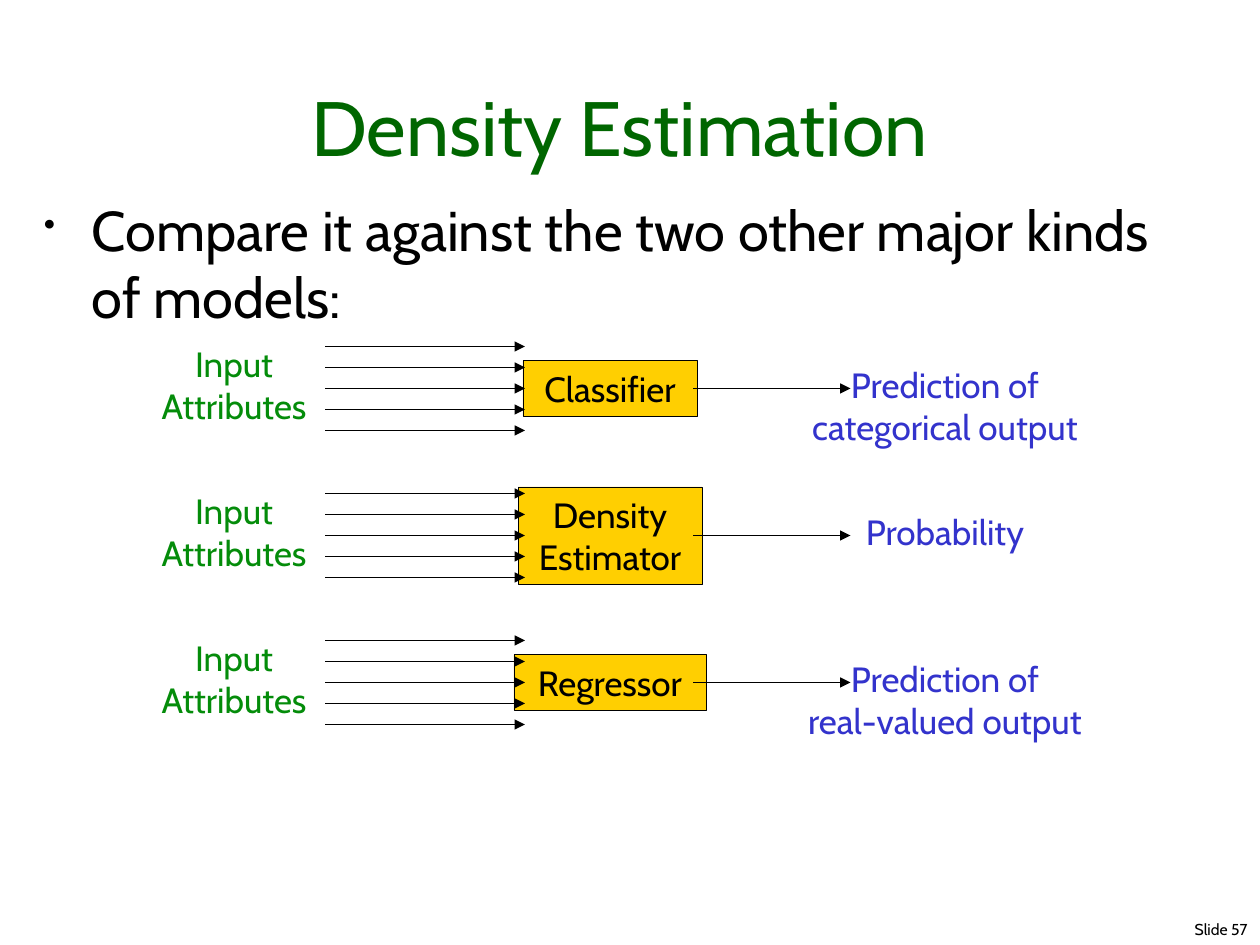
"""Build the density estimation slide on a grid of 120 columns and 90 rows."""
from lxml.etree import SubElement
from pptx import Presentation
from pptx.dml.color import RGBColor
from pptx.enum.shapes import MSO_CONNECTOR, MSO_SHAPE
from pptx.enum.text import MSO_ANCHOR, PP_ALIGN
from pptx.oxml.ns import qn
from pptx.util import Inches, Pt

deck = Presentation()
deck.slide_width, deck.slide_height = Inches(10), Inches(7.5)
slide = deck.slides.add_slide(deck.slide_layouts[6])
unit = deck.slide_width / 120
hue = RGBColor.from_string


def write(shape, text, size, color, align=PP_ALIGN.CENTER, anchor=MSO_ANCHOR.TOP, wrap=False):
    frame = shape.text_frame
    frame.text = text
    frame.word_wrap = wrap
    frame.vertical_anchor = anchor
    for line in frame.paragraphs:
        line.alignment = align
        for run in line.runs:
            run.font.size = Pt(size)
            run.font.name = "Cabin"
            run.font.color.rgb = hue(color)


def place(group, kind, mid, top, wide, high):
    left = mid - wide / 2
    spot = [int(n * unit) for n in (left, top, wide, high)]
    if kind is None:
        return group.shapes.add_textbox(*spot)
    return group.shapes.add_shape(kind, *spot)


foot = place(slide, None, 96.5, 87, 47, 3.2)
write(foot, "Slide 57", 9, "000000", PP_ALIGN.RIGHT, wrap=True)

title = place(slide, None, 59, 3, 112, 14)
write(title, "Density Estimation", 44, "006600", anchor=MSO_ANCHOR.BOTTOM, wrap=True)

body = place(slide, None, 59.25, 18, 112.5, 15)
write(body, "Compare it against the two other major kinds of models:", 32, "000000",
      PP_ALIGN.LEFT, wrap=True)
props = body.text_frame.paragraphs[0]._p.get_or_add_pPr()
props.set("marL", str(Inches(0.38)))
props.set("indent", str(-Inches(0.38)))
tint = SubElement(props, qn("a:buClr"))
SubElement(tint, qn("a:srgbClr"), val="000000")
SubElement(props, qn("a:buSzPct"), val="60000")
SubElement(props, qn("a:buChar"), char="•")

tall = {1: 5.3, 2: 9.25}
models = [
    ("Regressor", 18.3, "Prediction of\nreal-valued output", 31.3),
    ("Density\nEstimator", 17.5, "Probability", 19.3),
    ("Classifier", 16.6, "Prediction of\ncategorical output", 31.1),
]
for step, (name, wide, result, span) in enumerate(models):
    axis = 65 - 14 * step
    group = slide.shapes.add_group_shape()

    high = tall[len(name.split("\n"))]
    box = place(group, MSO_SHAPE.RECTANGLE, 58.1, axis - high / 2, wide, high)
    box.shadow.inherit = False
    box.fill.solid()
    box.fill.fore_color.rgb = hue("FFCF01")
    box.line.color.rgb = hue("000000")
    box.line.width = Pt(0.25)
    write(box, name, 20, "000000", anchor=MSO_ANCHOR.MIDDLE)

    high = tall[len(result.split("\n"))]
    write(place(group, None, 90, axis - 3, span, high), result, 20, "3333CC")
    write(place(group, None, 22.3, axis - 5, 18, tall[2]), "Input\nAttributes", 20, "048C0A")

    paths = [(31, 50, axis + 2 * n) for n in range(-2, 3)] + [(66, 81, axis)]
    for start, end, row in paths:
        ends = [int(n * unit) for n in (start, row, end, row)]
        arrow = group.shapes.add_connector(MSO_CONNECTOR.STRAIGHT, *ends)
        arrow.line.color.rgb = hue("000000")
        arrow.line.width = Pt(0.25)
        SubElement(arrow.line._get_or_add_ln(), qn("a:tailEnd"), type="triangle")
        SubElement(arrow._element.spPr, qn("a:effectLst"))

deck.save("out.pptx")
